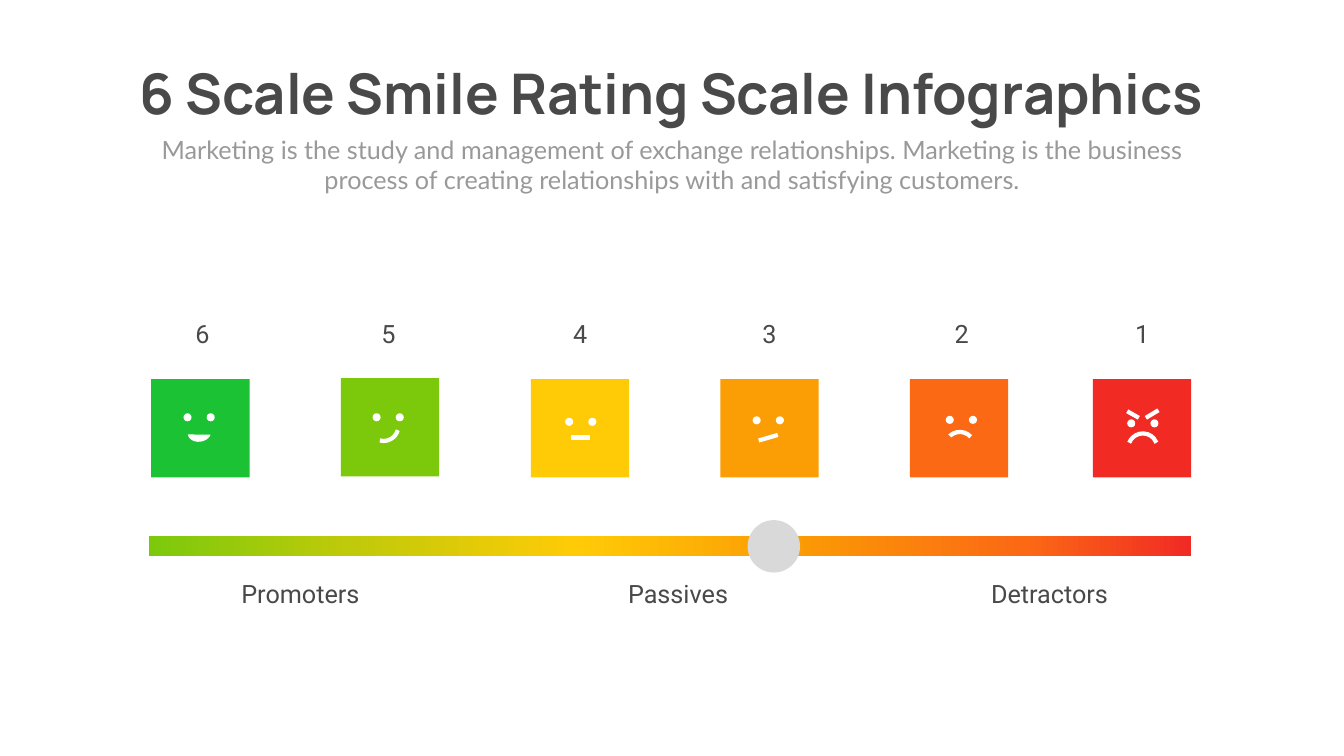
from copy import deepcopy

from lxml import etree
from pptx import Presentation
from pptx.dml.color import RGBColor
from pptx.enum import shapes, text
from pptx.oxml.ns import qn
from pptx.util import Inches, Pt

WHITE = RGBColor(0xFF, 0xFF, 0xFF)
DARK = RGBColor(0x49, 0x49, 0x49)
GREY = RGBColor(0x99, 0x99, 0x99)
KNOB = RGBColor(0xD9, 0xD9, 0xD9)
GREEN = RGBColor(0x1B, 0xC3, 0x34)
LIME = RGBColor(0x7C, 0xC9, 0x0C)
OLIVE = RGBColor(0xBE, 0xCA, 0x0A)
YELLOW = RGBColor(0xFF, 0xCB, 0x07)
AMBER = RGBColor(0xFB, 0x9D, 0x04)
ORANGE = RGBColor(0xFB, 0x69, 0x15)
RED = RGBColor(0xF1, 0x2A, 0x24)

SHAPE = shapes.MSO_SHAPE
TILE = 1.95
EYE = 0.16
EYE_GAP = 0.46
STROKE = Pt(6)

# Score, colour, tile left and top, first eye, label left and width
FACES = [
    ("6", GREEN, 3, 7.52, (3.64, 8.2), 2.96, 2.11),
    ("5", LIME, 6.76, 7.5, (7.39, 8.2), 6.65, 2.11),
    ("4", YELLOW, 10.53, 7.52, (11.21, 8.29), 10.53, 1.96),
    ("3", AMBER, 14.29, 7.52, (14.93, 8.26), 14.26, 2.01),
    ("2", ORANGE, 18.05, 7.52, (18.76, 8.25), 18.05, 2.05),
    ("1", RED, 21.68, 7.52, (22.36, 8.32), 21.68, 1.95),
]
# Curved mouths: kind, left, top, width, height, rotation, adjustments
MOUTHS = [
    (SHAPE.CHORD, 3.78, 8.36, 0.35, 0.46, 262.7, (63.85, 162)),
    (SHAPE.ARC, 7.32, 8.17, 0.58, 0.58, 105, ()),
    (SHAPE.ARC, 18.75, 8.57, 0.58, 0.58, 318.1, (161.11, 0)),
    (SHAPE.ARC, 22.38, 8.6, 0.58, 0.58, 318.1, (145.97, 12.37)),
]
# Straight mouths of 4 and 3, then the brows of 1
STROKES = [
    (11.33, 8.68, 11.71, 8.68),
    (15.05, 8.74, 15.43, 8.63),
    (22.36, 8.16, 22.59, 8.29),
    (22.73, 8.29, 22.98, 8.14),
]
GROUPS = [("Promoters", 4.39), ("Passives", 11.88), ("Detractors", 19.25)]
BAR_STOPS = [(0, LIME), (0.19, OLIVE), (0.41, YELLOW),
             (0.61, AMBER), (0.84, ORANGE), (1, RED)]


def add_label(slide, content, left, top, width, height, size=36,
              font="Roboto", color=DARK, bold=False, wrap=True):
    box = slide.shapes.add_textbox(*map(Inches, (left, top, width, height)))
    tf = box.text_frame
    tf.word_wrap = wrap
    tf.auto_size = text.MSO_AUTO_SIZE.SHAPE_TO_FIT_TEXT
    tf.text = content
    p = tf.paragraphs[0]
    p.alignment = text.PP_ALIGN.CENTER
    r = p.runs[0]
    r.font.name = font
    r.font.size = Pt(size)
    r.font.bold = bold
    r.font.color.rgb = color


def add_filled(slide, kind, left, top, width, height, color=WHITE):
    sp = slide.shapes.add_shape(kind, *map(Inches, (left, top, width, height)))
    sp.shadow.inherit = False
    sp.fill.solid()
    sp.fill.fore_color.rgb = color
    sp.line.fill.background()
    return sp


def add_gradient_bar(slide, left, top, width, height, stops):
    sp = add_filled(slide, SHAPE.RECTANGLE, left, top, width, height)
    sp.fill.gradient()
    sp.fill.gradient_angle = 0
    stop_list = sp._element.spPr.find(".//" + qn("a:gsLst"))
    while len(stop_list) < len(stops):
        stop_list.append(deepcopy(stop_list[0]))
    for stop, (position, color) in zip(sp.fill.gradient_stops, stops):
        stop.position = position
        stop.color.rgb = color


def add_mouth(slide, kind, left, top, width, height, rotation, adjustments):
    sp = add_filled(slide, kind, left, top, width, height)
    sp.rotation = rotation
    for i, value in enumerate(adjustments):
        sp.adjustments[i] = value
    if kind == SHAPE.ARC:
        sp.fill.background()
        sp.line.color.rgb = WHITE
        sp.line.width = STROKE


def add_stroke(slide, *ends):
    line = slide.shapes.add_connector(shapes.MSO_CONNECTOR.STRAIGHT,
                                      *map(Inches, ends))
    line.line.color.rgb = WHITE
    line.line.width = STROKE
    etree.SubElement(line._element.spPr, qn("a:effectLst"))


def main():
    prs = Presentation()
    prs.slide_width = Inches(26.66)
    prs.slide_height = Inches(15)
    slide = prs.slides.add_slide(prs.slide_layouts[6])

    # Heading
    add_label(slide, "6 Scale Smile Rating Scale Infographics",
              1.92, 1.12, 22.81, 1.45, 80, "Manrope", bold=True, wrap=False)
    add_label(slide, "Marketing is the study and management of exchange "
              "relationships. Marketing is the business process of creating "
              "relationships with and satisfying customers.",
              2.92, 2.61, 20.82, 1.31, font="Lato", color=GREY)

    # Slider
    add_gradient_bar(slide, 2.96, 10.63, 20.67, 0.41, BAR_STOPS)
    add_filled(slide, SHAPE.OVAL, 14.83, 10.32, 1.04, 1.04, KNOB)

    # Scores, tiles and eyes
    for score, color, left, top, (eye_x, eye_y), label_x, label_w in FACES:
        add_label(slide, score, label_x, 6.27, label_w, 0.71)
        add_filled(slide, SHAPE.RECTANGLE, left, top, TILE, TILE, color)
        for x in (eye_x, eye_x + EYE_GAP):
            add_filled(slide, SHAPE.OVAL, x, eye_y, EYE, EYE)

    # Mouths and brows
    for mouth in MOUTHS:
        add_mouth(slide, *mouth)
    for ends in STROKES:
        add_stroke(slide, *ends)

    # Groups under the slider
    for name, left in GROUPS:
        add_label(slide, name, left, 11.43, 3.14, 0.71)

    prs.save("out.pptx")


if __name__ == "__main__":
    main()
